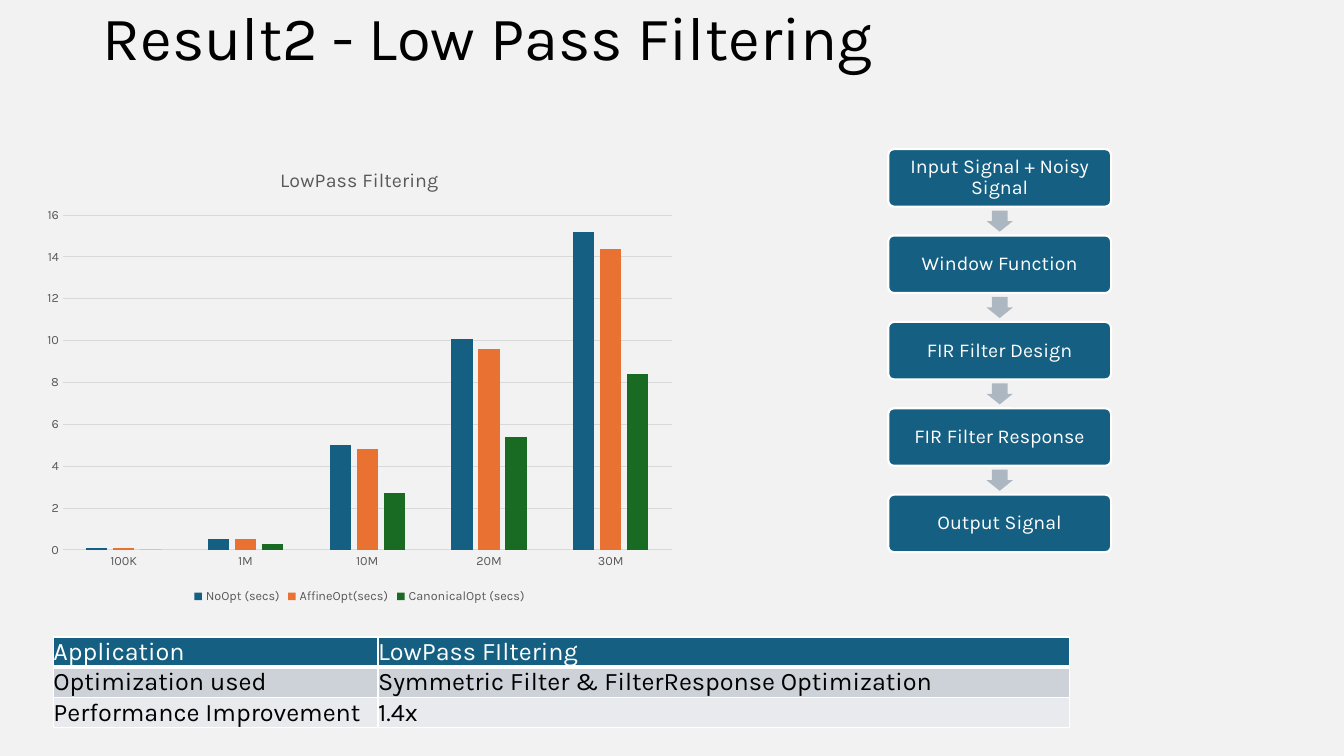
from lxml import etree
from pptx import Presentation
from pptx.chart.data import CategoryChartData
from pptx.dml.color import RGBColor
from pptx.enum.chart import XL_CHART_TYPE, XL_LEGEND_POSITION, XL_TICK_MARK
from pptx.enum.shapes import MSO_SHAPE
from pptx.enum.text import MSO_ANCHOR, PP_ALIGN
from pptx.oxml.ns import qn
from pptx.util import Inches, Pt

MIDDLE = MSO_ANCHOR.MIDDLE
LEFT, CENTER = PP_ALIGN.LEFT, PP_ALIGN.CENTER
NO_TICKS = XL_TICK_MARK.NONE

FONT = "Karla"
BLACK, WHITE, BLUE, GREY, RULE = "000000", "FFFFFF", "156082", "595959", "D9D9D9"
BACKGROUND, ARROW = "F2F2F2", "ACB7C1"

TITLE = "Result2 - Low Pass Filtering"
CHART_TITLE = "LowPass Filtering"
SIGNAL_SIZES = ["100K", "1M", "10M", "20M", "30M"]
TIMINGS = [
    ("NoOpt (secs)", [0.1, 0.5, 5, 10.1, 15.2], BLUE),
    ("AffineOpt(secs)", [0.1, 0.5, 4.8, 9.6, 14.4], "E97132"),
    ("CanonicalOpt (secs)", [0, 0.3, 2.7, 5.4, 8.4], "196B24"),
]
STEPS = [
    "Input Signal + Noisy Signal",
    "Window Function",
    "FIR Filter Design",
    "FIR Filter Response",
    "Output Signal",
]
# Cell texts, fill, font colour, bottom border in points
SUMMARY = [
    (("Application", "LowPass FIltering"), BLUE, WHITE, 3),
    (("Optimization used", "Symmetric Filter & FilterResponse Optimization"), "CCD2D8", BLACK, 1),
    (("Performance Improvement", "1.4x"), "E8EAED", BLACK, 1),
]
COLUMN_WIDTHS = [3.22, 6.86]
ROW_HEIGHT = 0.3

STEP_LEFT, STEP_TOP, STEP_WIDTH, STEP_HEIGHT = 8.81, 1.48, 2.21, 0.57
STEP_PITCH = 0.857
ARROW_LENGTH, ARROW_BREADTH = 0.21, 0.26


def color(value):
    return RGBColor.from_string(value)


def format_font(font, size, value):
    font.name, font.size, font.bold = FONT, Pt(size), False
    font.color.rgb = color(value)


def write(frame, text, size=18, value=BLACK, align=LEFT, spacing=None, inset=None):
    frame.word_wrap = True
    if inset is not None:
        frame.margin_left = frame.margin_right = Inches(inset)
        frame.margin_top = frame.margin_bottom = Inches(inset)
    paragraph = frame.paragraphs[0]
    paragraph.alignment = align
    paragraph.line_spacing = spacing
    run = paragraph.add_run()
    run.text = text
    format_font(run.font, size, value)


def place(shape, left, top, width, height):
    shape.left, shape.top = Inches(left), Inches(top)
    shape.width, shape.height = Inches(width), Inches(height)


def add_filled(slide, preset, box, fill, adjustments):
    shape = slide.shapes.add_shape(preset, *map(Inches, box))
    shape.shadow.inherit = False
    shape.fill.solid()
    shape.fill.fore_color.rgb = color(fill)
    shape.line.fill.background()
    for index, adjustment in enumerate(adjustments):
        shape.adjustments[index] = adjustment
    return shape


def add_title(slide):
    title = slide.shapes.title
    place(title, 0.92, 0, 11.5, 0.8)
    title.text_frame.vertical_anchor = MIDDLE
    write(title.text_frame, TITLE, size=44, spacing=0.9)


def add_timing_chart(slide):
    data = CategoryChartData()
    data.categories = SIGNAL_SIZES
    for name, values, _ in TIMINGS:
        data.add_series(name, values)
    box = map(Inches, (0.34, 1.48, 6.45, 4.55))
    chart = slide.shapes.add_chart(XL_CHART_TYPE.COLUMN_CLUSTERED, *box, data).chart
    format_font(chart.font, 10, BLACK)
    chart.has_title = True
    write(chart.chart_title.text_frame, CHART_TITLE, size=14, value=GREY, align=CENTER)
    chart.chart_title.include_in_layout = False

    chart.has_legend = True
    chart.legend.position = XL_LEGEND_POSITION.BOTTOM
    chart.legend.include_in_layout = False
    format_font(chart.legend.font, 9, GREY)

    for axis in (chart.category_axis, chart.value_axis):
        axis.major_tick_mark = axis.minor_tick_mark = NO_TICKS
        format_font(axis.tick_labels.font, 9, GREY)
    chart.value_axis.has_major_gridlines = True
    chart.value_axis.minimum_scale, chart.value_axis.maximum_scale = 0, 16
    chart.value_axis.major_unit = 2
    chart.value_axis.format.line.fill.background()
    for rule in (chart.category_axis, chart.value_axis.major_gridlines):
        rule.format.line.color.rgb = color(RULE)
        rule.format.line.width = Pt(0.75)

    plot = chart.plots[0]
    plot.vary_by_categories = False
    plot.gap_width, plot.overlap = 219, -27
    for series, (_, _, fill) in zip(plot.series, TIMINGS):
        series.format.fill.solid()
        series.format.fill.fore_color.rgb = color(fill)


def add_flow(slide):
    center = STEP_LEFT + STEP_WIDTH / 2
    gap = STEP_PITCH - STEP_HEIGHT
    for index, text in enumerate(STEPS):
        top = STEP_TOP + index * STEP_PITCH
        if index:
            arrow_box = (center - ARROW_LENGTH / 2, top - gap / 2 - ARROW_BREADTH / 2,
                         ARROW_LENGTH, ARROW_BREADTH)
            arrow = add_filled(slide, MSO_SHAPE.RIGHT_ARROW, arrow_box, ARROW, [0.6, 0.5])
            arrow.rotation = 90
        step_box = (STEP_LEFT, top, STEP_WIDTH, STEP_HEIGHT)
        step = add_filled(slide, MSO_SHAPE.ROUNDED_RECTANGLE, step_box, BLUE, [0.1])
        step.line.color.rgb = color(WHITE)
        step.line.width = Pt(1.5)
        step.text_frame.vertical_anchor = MIDDLE
        write(step.text_frame, text, size=14, value=WHITE, align=CENTER, spacing=0.9, inset=0.08)


def add_borders(cell, bottom):
    properties = cell._tc.get_or_add_tcPr()
    for side, width in (("L", 1), ("R", 1), ("T", 1), ("B", bottom)):
        line = etree.SubElement(properties, qn(f"a:ln{side}"), w=str(Pt(width)))
        fill = etree.SubElement(line, qn("a:solidFill"))
        etree.SubElement(fill, qn("a:srgbClr"), val=WHITE)


def add_summary(slide):
    box = (0.53, 6.32, sum(COLUMN_WIDTHS), ROW_HEIGHT * len(SUMMARY))
    table = slide.shapes.add_table(len(SUMMARY), len(COLUMN_WIDTHS), *map(Inches, box)).table
    for column, width in zip(table.columns, COLUMN_WIDTHS):
        column.width = Inches(width)
    for row, (texts, fill, font_color, bottom) in zip(table.rows, SUMMARY):
        row.height = Inches(ROW_HEIGHT)
        for cell, text in zip(row.cells, texts):
            add_borders(cell, bottom)
            cell.fill.solid()
            cell.fill.fore_color.rgb = color(fill)
            cell.vertical_anchor = MIDDLE
            cell.margin_left = cell.margin_right = cell.margin_top = cell.margin_bottom = 0
            write(cell.text_frame, text, value=font_color)


def main():
    presentation = Presentation()
    presentation.slide_width, presentation.slide_height = Inches(13.33), Inches(7.5)
    title_only = presentation.slide_layouts[5]
    slide = presentation.slides.add_slide(title_only)
    slide.background.fill.solid()
    slide.background.fill.fore_color.rgb = color(BACKGROUND)
    add_title(slide)
    add_timing_chart(slide)
    add_flow(slide)
    add_summary(slide)
    presentation.save("out.pptx")


if __name__ == "__main__":
    main()
